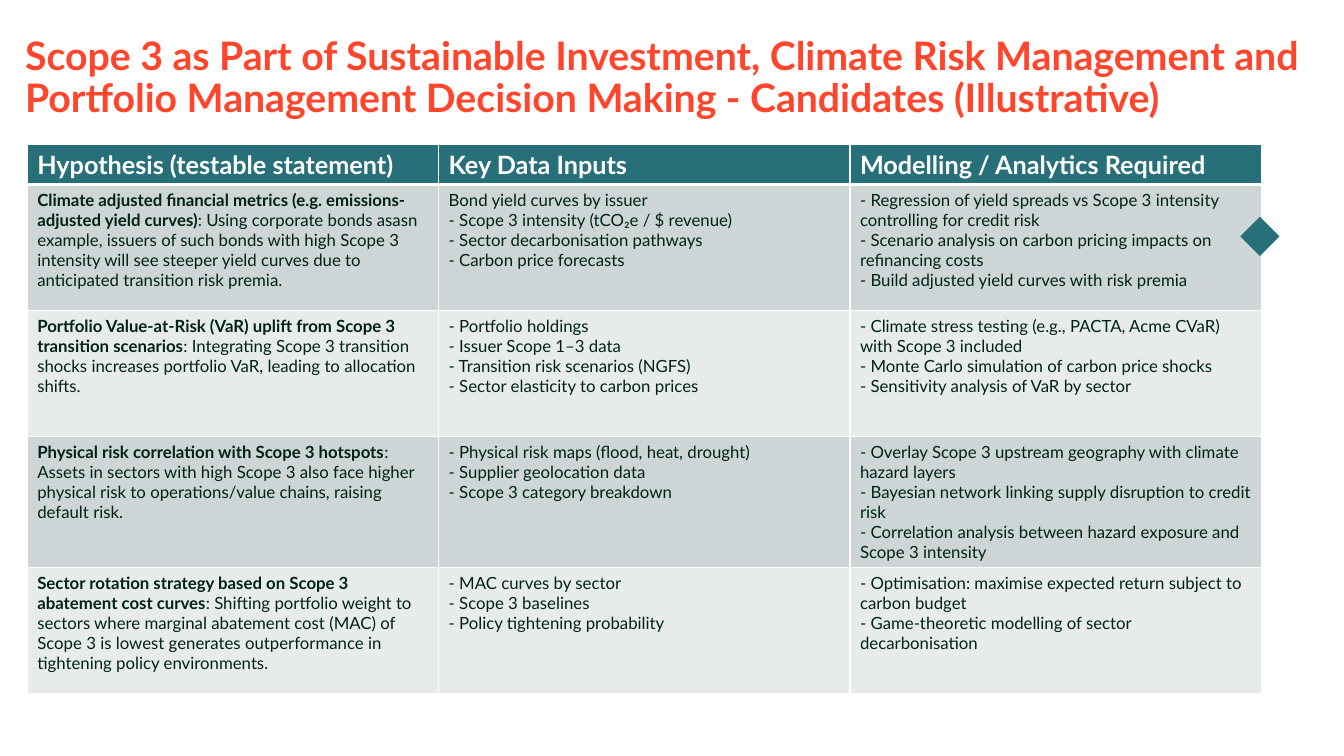
from lxml.etree import SubElement
from pptx import Presentation
from pptx.dml.color import RGBColor
from pptx.enum.shapes import MSO_SHAPE
from pptx.enum.text import MSO_ANCHOR
from pptx.oxml.ns import qn
from pptx.util import Inches, Pt

FONT = "Lato"
TEAL, ORANGE, INK, WHITE = "287079", "FF462D", "002313", "FFFFFF"
BANDS = ("CDD5D7", "E8EBEC")

TITLE = ("Scope 3 as Part of Sustainable Investment, Climate Risk Management and "
         "Portfolio Management Decision Making - Candidates (Illustrative)")
HEADINGS = ("Hypothesis (testable statement)", "Key Data Inputs",
            "Modelling / Analytics Required")

# Each row: hypothesis name, its statement, data inputs, analytics
HYPOTHESES = [
    ("Climate adjusted financial metrics (e.g. emissions-adjusted yield curves)",
     ": Using corporate bonds asasn example, issuers of such bonds with high Scope 3 "
     "intensity will see steeper yield curves due to anticipated transition risk premia.",
     ["Bond yield curves by issuer",
      "- Scope 3 intensity (tCO₂e / $ revenue)",
      "- Sector decarbonisation pathways",
      "- Carbon price forecasts"],
     ["- Regression of yield spreads vs Scope 3 intensity controlling for credit risk",
      "- Scenario analysis on carbon pricing impacts on refinancing costs",
      "- Build adjusted yield curves with risk premia"]),
    ("Portfolio Value-at-Risk (VaR) uplift from Scope 3 transition scenarios",
     ": Integrating Scope 3 transition shocks increases portfolio VaR, leading to "
     "allocation shifts.",
     ["- Portfolio holdings",
      "- Issuer Scope 1–3 data",
      "- Transition risk scenarios (NGFS)",
      "- Sector elasticity to carbon prices"],
     ["- Climate stress testing (e.g., PACTA, Acme CVaR) with Scope 3 included",
      "- Monte Carlo simulation of carbon price shocks",
      "- Sensitivity analysis of VaR by sector"]),
    ("Physical risk correlation with Scope 3 hotspots",
     ": Assets in sectors with high Scope 3 also face higher physical risk to "
     "operations/value chains, raising default risk.",
     ["- Physical risk maps (flood, heat, drought)",
      "- Supplier geolocation data",
      "- Scope 3 category breakdown"],
     ["- Overlay Scope 3 upstream geography with climate hazard layers",
      "- Bayesian network linking supply disruption to credit risk",
      "- Correlation analysis between hazard exposure and Scope 3 intensity"]),
    ("Sector rotation strategy based on Scope 3 abatement cost curves",
     ": Shifting portfolio weight to sectors where marginal abatement cost (MAC) of "
     "Scope 3 is lowest generates outperformance in tightening policy environments.",
     ["- MAC curves by sector",
      "- Scope 3 baselines",
      "- Policy tightening probability"],
     ["- Optimisation: maximise expected return subject to carbon budget",
      "- Game-theoretic modelling of sector decarbonisation"]),
]


def color(value):
    return RGBColor.from_string(value)


def style_runs(frame, size, ink, bold=False):
    for paragraph in frame.paragraphs:
        for run in paragraph.runs:
            run.font.name = FONT
            run.font.size = Pt(size)
            run.font.bold = bold
            run.font.color.rgb = color(ink)


def add_title(slide):
    title = slide.shapes.add_textbox(Inches(0.25), Inches(0.36), Inches(12.83), Inches(0.4))
    frame = title.text_frame
    frame.word_wrap = True
    frame.margin_left = frame.margin_right = frame.margin_top = frame.margin_bottom = 0
    frame.text = TITLE
    frame.paragraphs[0].line_spacing = 0.9
    style_runs(frame, 28, ORANGE, bold=True)


def paint_cell(cell, fill, top=1, bottom=1):
    """Fill a cell and give it white borders of the given widths in points."""
    cell.fill.solid()
    cell.fill.fore_color.rgb = color(fill)
    properties = cell._tc.get_or_add_tcPr()
    sides = (("a:lnL", 1), ("a:lnR", 1), ("a:lnT", top), ("a:lnB", bottom))
    for position, (side, width) in enumerate(sides):
        border = SubElement(properties, qn(side), w=str(Pt(width)))
        solid = SubElement(border, qn("a:solidFill"))
        SubElement(solid, qn("a:srgbClr"), val=WHITE)
        properties.insert(position, border)


def add_hypothesis_table(slide):
    table = slide.shapes.add_table(len(HYPOTHESES) + 1, len(HEADINGS), Inches(0.27),
                                   Inches(1.43), Inches(12.24), Inches(5.39)).table
    for column in table.columns:
        column.width = Inches(4.08)
    for row in table.rows:
        row.height = Inches(1.25)
    table.rows[0].height = Inches(0.39)

    # Header row
    for column, heading in enumerate(HEADINGS):
        cell = table.cell(0, column)
        cell.text_frame.text = heading
        cell.vertical_anchor = MSO_ANCHOR.MIDDLE
        style_runs(cell.text_frame, 18, WHITE, bold=True)
        paint_cell(cell, TEAL, bottom=3)

    # Banded body rows
    for row, (name, statement, inputs, analytics) in enumerate(HYPOTHESES, start=1):
        texts = (name, "\n".join(inputs), "\n".join(analytics))
        for column, text in enumerate(texts):
            cell = table.cell(row, column)
            cell.text_frame.text = text
            if column == 0:
                cell.text_frame.paragraphs[0].add_run().text = statement
            style_runs(cell.text_frame, 12, INK)
            paint_cell(cell, BANDS[(row - 1) % 2], top=3 if row == 1 else 1)
        table.cell(row, 0).text_frame.paragraphs[0].runs[0].font.bold = True


def add_marker(slide):
    diamond = slide.shapes.add_shape(MSO_SHAPE.DIAMOND, Inches(12.3), Inches(2.15),
                                     Inches(0.39), Inches(0.39))
    diamond.shadow.inherit = False
    diamond.fill.solid()
    diamond.fill.fore_color.rgb = color(TEAL)
    diamond.line.fill.background()


def main():
    deck = Presentation()
    deck.slide_width, deck.slide_height = Inches(13.33), Inches(7.5)
    slide = deck.slides.add_slide(deck.slide_layouts[6])
    add_title(slide)
    add_hypothesis_table(slide)
    add_marker(slide)
    deck.save("out.pptx")


if __name__ == "__main__":
    main()
